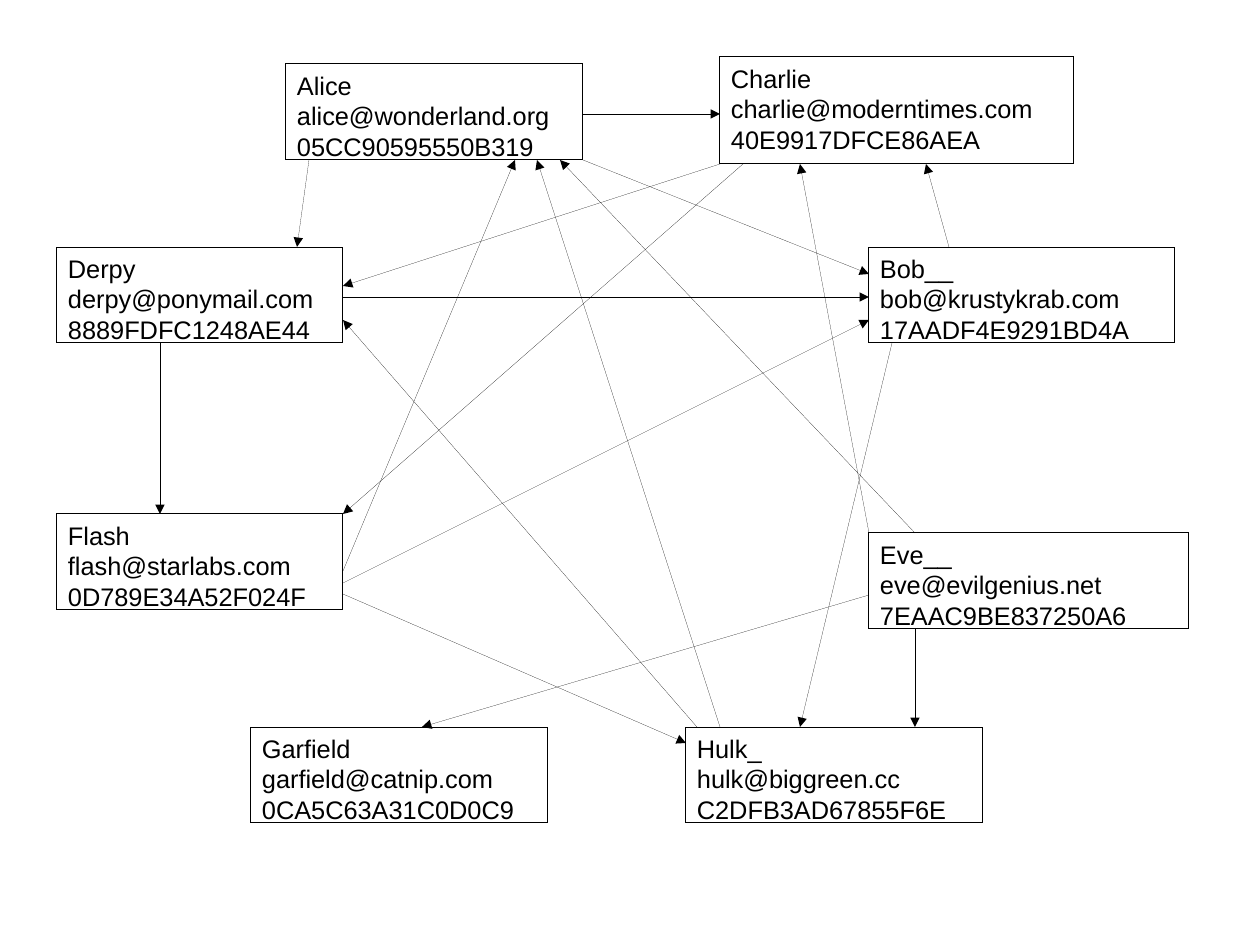
from lxml import etree
from pptx import Presentation
from pptx.dml.color import RGBColor
from pptx.enum.shapes import MSO_CONNECTOR, MSO_SHAPE
from pptx.enum.text import MSO_ANCHOR, MSO_AUTO_SIZE, PP_ALIGN
from pptx.oxml.ns import qn
from pptx.util import Pt

RECTANGLE = MSO_SHAPE.RECTANGLE
STRAIGHT = MSO_CONNECTOR.STRAIGHT
TOP = MSO_ANCHOR.TOP
LEFT = PP_ALIGN.LEFT
FIXED_SIZE = MSO_AUTO_SIZE.NONE

EMU_PER_PX = 8000
SLIDE_SIZE = (1260, 945)
COLORS = {"ink": "000000"}
FONT = "Arial"

CARDS = {
    "Garfield": ((251, 727, 297, 96), "garfield@catnip.com", "0CA5C63A31C0D0C9"),
    "Hulk_": ((686, 727, 297, 96), "hulk@biggreen.cc", "C2DFB3AD67855F6E"),
    "Flash": ((57, 514, 286, 96), "flash@starlabs.com", "0D789E34A52F024F"),
    "Eve__": ((869, 533, 320, 96), "eve@evilgenius.net", "7EAAC9BE837250A6"),
    "Derpy": ((57, 247, 286, 96), "derpy@ponymail.com", "8889FDFC1248AE44"),
    "Charlie": ((720, 57, 354, 107), "charlie@moderntimes.com", "40E9917DFCE86AEA"),
    "Bob__": ((869, 247, 306, 96), "bob@krustykrab.com", "17AADF4E9291BD4A"),
    "Alice": ((286, 64, 297, 96), "alice@wonderland.org", "05CC90595550B319"),
}

SIGNATURES = [
    (("Flash", "right", 57), ("Alice", "bottom", 229)),
    (("Hulk_", "top", 34), ("Alice", "bottom", 251)),
    (("Eve__", "top", 46), ("Alice", "bottom", 274)),
    (("Alice", "bottom", 297), ("Bob__", "left", 27)),
    (("Derpy", "right", 50), ("Bob__", "left", 50)),
    (("Flash", "right", 69), ("Bob__", "left", 73)),
    (("Bob__", "top", 80), ("Charlie", "bottom", 206)),
    (("Eve__", "left", 0), ("Charlie", "bottom", 80)),
    (("Alice", "right", 50), ("Charlie", "left", 57)),
    (("Hulk_", "top", 11), ("Derpy", "right", 73)),
    (("Charlie", "bottom", 0), ("Derpy", "right", 39)),
    (("Alice", "bottom", 23), ("Derpy", "top", 240)),
    (("Derpy", "bottom", 103), ("Flash", "top", 103)),
    (("Charlie", "bottom", 23), ("Flash", "right", 0)),
    (("Eve__", "bottom", 46), ("Hulk_", "top", 229)),
    (("Bob__", "bottom", 23), ("Hulk_", "top", 114)),
    (("Flash", "right", 80), ("Hulk_", "left", 16)),
    (("Eve__", "left", 62), ("Garfield", "top", 171)),
]


def px(length):
    """Turn a length in px into EMU."""
    return length * EMU_PER_PX


def color(name):
    """Look up a named colour."""
    return RGBColor.from_string(COLORS[name])


def style_line(shape):
    """Give a shape or connector a black hairline and return its outline."""
    shape.line.color.rgb = color("ink")
    outline = shape._element.spPr.find(qn("a:ln"))
    outline.set("w", "0")
    return outline


def write_text(paragraph, text, *, size=16, font=FONT, ink="ink", align=LEFT):
    """Write one formatted line of text in a paragraph."""
    paragraph.alignment = align
    run = paragraph.add_run()
    run.text = text
    run.font.size = Pt(size)
    run.font.name = font
    run.font.color.rgb = color(ink)


def add_card(slide, box, lines):
    """Draw a key holder's card with its lines of text in the given box."""
    shape = slide.shapes.add_shape(RECTANGLE, *map(px, box))
    shape.shadow.inherit = False
    shape.fill.background()
    style_line(shape)
    frame = shape.text_frame
    frame.word_wrap = True
    frame.auto_size = FIXED_SIZE
    frame.vertical_anchor = TOP
    frame.margin_left = frame.margin_right = px(11)
    frame.margin_top = frame.margin_bottom = px(6)
    for index, text in enumerate(lines):
        paragraph = frame.add_paragraph() if index else frame.paragraphs[0]
        write_text(paragraph, text)


def anchor(name, side, offset):
    """Find the point at an offset along one side of a card."""
    left, top, width, height = CARDS[name][0]
    return {
        "left": (left, top + offset),
        "right": (left + width, top + offset),
        "top": (left + offset, top),
        "bottom": (left + offset, top + height),
    }[side]


def add_arrow(slide, start, end):
    """Draw a thin arrow between two points."""
    connector = slide.shapes.add_connector(STRAIGHT, *map(px, start + end))
    outline = style_line(connector)
    etree.SubElement(outline, qn("a:tailEnd"), type="triangle")
    etree.SubElement(connector._element.spPr, qn("a:effectLst"))


def add_trust_graph(slide):
    """Draw all cards and the signatures that link them."""
    for name, (box, email, key) in CARDS.items():
        add_card(slide, box, (name, email, key))
    for signer, signed in SIGNATURES:
        add_arrow(slide, anchor(*signer), anchor(*signed))


def main():
    """Build and save the presentation."""
    presentation = Presentation()
    presentation.slide_width, presentation.slide_height = map(px, SLIDE_SIZE)
    slide = presentation.slides.add_slide(presentation.slide_layouts[6])
    add_trust_graph(slide)
    presentation.save("out.pptx")


if __name__ == "__main__":
    main()
